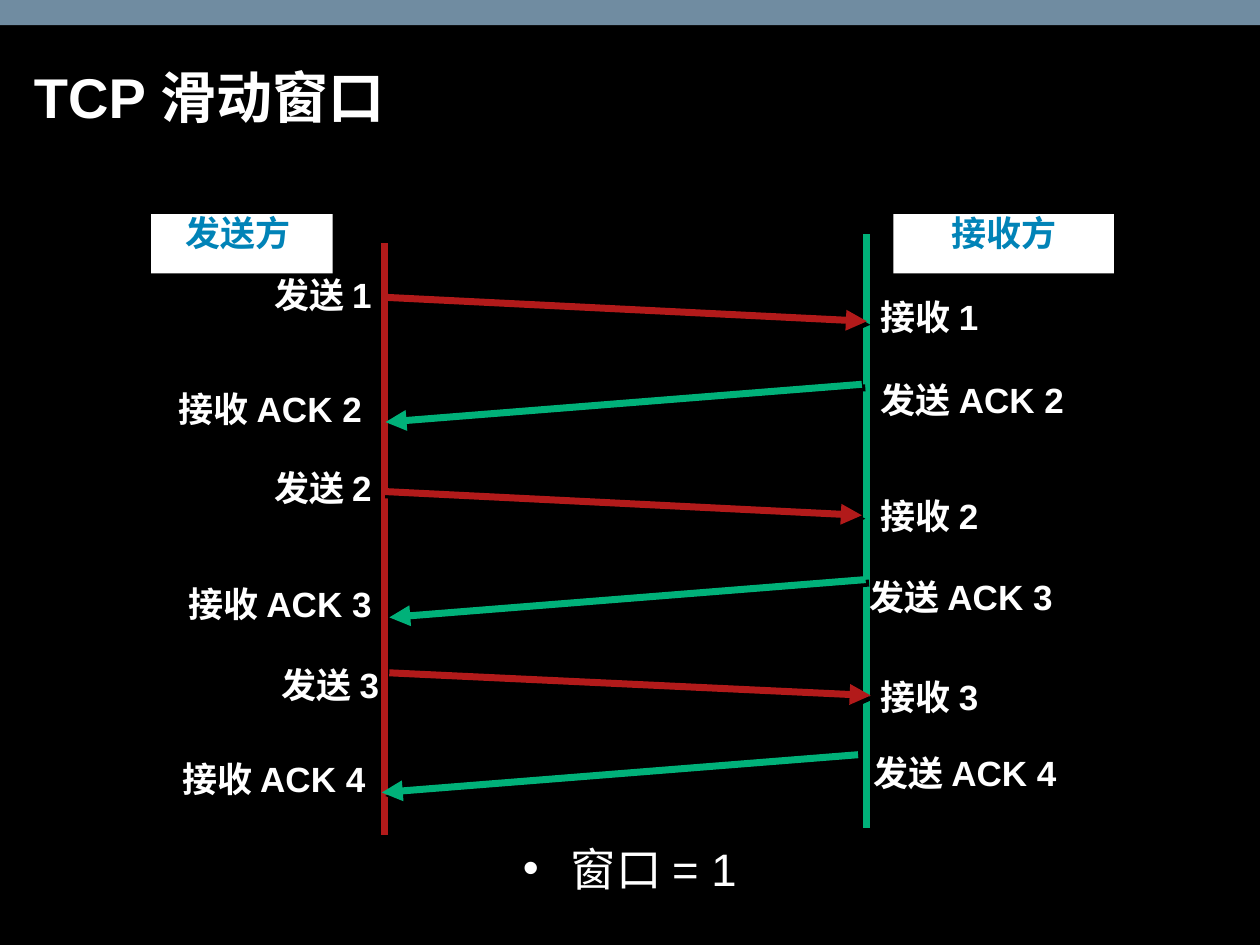
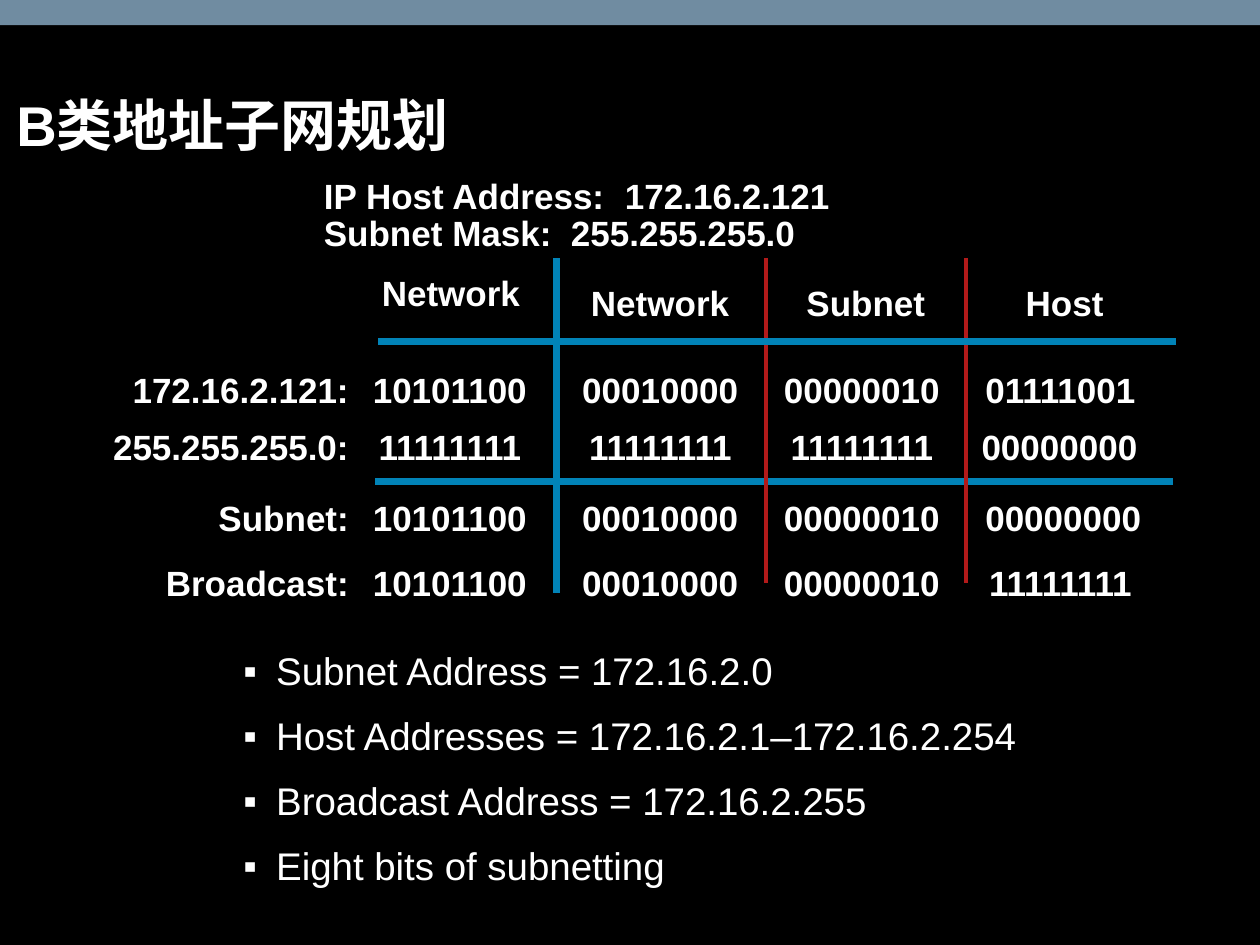
from lxml.etree import SubElement
from pptx import Presentation
from pptx.dml.color import RGBColor
from pptx.enum.shapes import MSO_CONNECTOR as Connector, MSO_SHAPE as Preset
from pptx.enum.text import MSO_ANCHOR as Anchor, PP_ALIGN as Align
from pptx.oxml.ns import qn
from pptx.util import Inches, Pt

BLACK = RGBColor(0x00, 0x00, 0x00)
WHITE = RGBColor(0xFF, 0xFF, 0xFF)
BAND = RGBColor(0x70, 0x8C, 0xA1)
BLUE = RGBColor(0x01, 0x83, 0xB7)
RED = RGBColor(0xB2, 0x1A, 0x1A)
GREEN = RGBColor(0x00, 0xB1, 0x79)

WIDE_INSETS = (0.09, 0.04)
TIGHT_INSETS = (0.02, 0.03)


class Deck:
    """Hold the shared style and the slide being drawn."""

    font = "Arial"

    def __init__(self):
        self.show = Presentation()
        self.show.slide_width = Inches(10)
        self.show.slide_height = Inches(7.5)
        self.slide = None

    def new_slide(self):
        self.slide = self.show.slides.add_slide(self.show.slide_layouts[6])
        fill = self.slide.background.fill
        fill.solid()
        fill.fore_color.rgb = BLACK
        self.panel((0, 0, 10, 0.2), BAND)

    def panel(self, place, color):
        panel = self.slide.shapes.add_shape(Preset.RECTANGLE, *map(Inches, place))
        panel.shadow.inherit = False
        panel.fill.solid()
        panel.fill.fore_color.rgb = color
        panel.line.fill.background()
        return panel

    def frame(self, shape, insets, anchor=Anchor.TOP, wrap=False):
        frame = shape.text_frame
        frame.word_wrap = wrap
        frame.vertical_anchor = anchor
        frame.margin_left = frame.margin_right = Inches(insets[0])
        frame.margin_top = frame.margin_bottom = Inches(insets[1])
        return frame

    def box(self, place, *style, **options):
        shape = self.slide.shapes.add_textbox(*map(Inches, place))
        return self.frame(shape, *style, **options)

    def add_lines(self, frame, lines, size, color=WHITE, bold=True, align=Align.LEFT, spacing=1.0):
        for index, line in enumerate(lines):
            paragraph = frame.paragraphs[0] if index == 0 else frame.add_paragraph()
            paragraph.alignment = align
            paragraph.line_spacing = spacing
            run = paragraph.add_run()
            run.text = line
            run.font.name = self.font
            run.font.size = Pt(size)
            run.font.bold = bold
            run.font.color.rgb = color

    def title(self, text, place):
        frame = self.box(place, WIDE_INSETS, Anchor.BOTTOM, wrap=True)
        self.add_lines(frame, [text], 32, spacing=0.9)

    def label(self, text, place, align=Align.LEFT, points=23.6):
        frame = self.box(place, TIGHT_INSETS)
        self.add_lines(frame, [text], 20, align=align, spacing=Pt(points))

    def plate(self, text, place):
        frame = self.frame(self.panel(place, WHITE), TIGHT_INSETS)
        self.add_lines(frame, [text], 20, BLUE, align=Align.CENTER, spacing=Pt(20.2))

    def tabbed(self, lines, place, stop, points):
        frame = self.box(place, TIGHT_INSETS)
        self.add_lines(frame, lines, 20, spacing=Pt(points))
        for paragraph in frame.paragraphs:
            stops = SubElement(paragraph._p.get_or_add_pPr(), qn("a:tabLst"))
            SubElement(stops, qn("a:tab"), pos=str(Inches(stop)), algn="l")

    def bullets(self, lines, place, size, mark, indent, before, spacing=1.0):
        frame = self.box(place, WIDE_INSETS, Anchor.MIDDLE, wrap=True)
        frame._txBody.bodyPr.set("anchorCtr", "1")
        self.add_lines(frame, lines, size, bold=False, spacing=spacing)
        for paragraph in frame.paragraphs:
            paragraph.space_before = Pt(before)
            properties = paragraph._p.get_or_add_pPr()
            properties.set("marL", str(Inches(indent)))
            properties.set("indent", str(-Inches(indent)))
            SubElement(properties, qn("a:buFont"), typeface=self.font)
            SubElement(properties, qn("a:buChar"), char=mark)

    def line(self, start, end, color, width=4, arrow=False, shadow=False):
        line = self.slide.shapes.add_connector(Connector.STRAIGHT, *map(Inches, start + end))
        line.line.color.rgb = color
        line.line.width = Pt(width)
        if arrow:
            SubElement(line.line._get_or_add_ln(), qn("a:tailEnd"), type="triangle")
        effects = SubElement(line._element.spPr, qn("a:effectLst"))
        if shadow:
            cast = SubElement(effects, qn("a:outerShdw"), dist=str(Pt(2.8)), dir="2700000",
                              algn="ctr", rotWithShape="0")
            SubElement(cast, qn("a:srgbClr"), val=str(BLACK))


def sliding_window(deck):
    deck.new_slide()
    deck.title("TCP 滑动窗口", (0.18, 0.21, 9.07, 0.87))
    deck.bullets(["窗口 = 1"], (0.5, 6.68, 9, 0.42), 26, "•", 0.38, 6)
    deck.plate("发送方 ", (1.2, 1.7, 1.44, 0.47))
    deck.plate("接收方", (7.09, 1.7, 1.75, 0.47))
    deck.line((3.05, 1.93), (3.05, 6.63), RED, shadow=True)
    deck.line((6.88, 1.86), (6.88, 6.57), GREEN, shadow=True)

    exchanges = [
        ("发送 1", (1.75, 2.15, 1.22, 0.58), "接收 1", (6.97, 2.32, 1.08, 0.58),
         (3.06, 2.36), (6.88, 2.55)),
        ("接收 ACK 2 ", (1.2, 3.05, 1.77, 0.58), "发送 ACK 2", (6.97, 2.98, 1.87, 0.45),
         (6.84, 3.05), (3.06, 3.35)),
        ("发送 2", (1.95, 3.68, 1.02, 0.58), "接收 2", (6.97, 3.9, 1.08, 0.58),
         (3.03, 3.9), (6.84, 4.09)),
        ("接收 ACK 3", (1.2, 4.6, 1.77, 0.58), "发送 ACK 3", (6.88, 4.54, 1.87, 0.58),
         (6.87, 4.6), (3.09, 4.9)),
        ("发送 3", (1.86, 5.24, 1.17, 0.58), "接收 3", (6.97, 5.34, 1.31, 0.36),
         (3.09, 5.34), (6.91, 5.52)),
        ("接收 ACK 4", (1.2, 5.99, 1.72, 0.58), "发送 ACK 4", (6.91, 5.94, 1.59, 0.58),
         (6.81, 5.99), (3.03, 6.29)),
    ]
    for sender, sender_place, receiver, receiver_place, start, end in exchanges:
        deck.label(sender, sender_place, Align.RIGHT)
        deck.label(receiver, receiver_place)
        color = RED if start[0] < end[0] else GREEN
        deck.line(start, end, color, arrow=True, shadow=True)


def subnet_plan(deck):
    deck.new_slide()
    deck.tabbed(["IP Host Address:\t172.16.2.121", "Subnet Mask:  255.255.255.0"],
                (2.55, 1.39, 4.92, 0.67), 2.39, 21.4)
    deck.title("B类地址子网规划", (0.04, 0.05, 8.7, 1.25))
    deck.bullets(["Subnet Address = 172.16.2.0",
                  "Host Addresses = 172.16.2.1–172.16.2.254",
                  "Broadcast Address = 172.16.2.255",
                  "Eight bits of subnetting"],
                 (0.5, 5.34, 9, 1.54), 22, "▪", 0.26, 12, 0.95)

    deck.line((4.42, 2.05), (4.42, 4.71), BLUE)
    deck.line((2.98, 3.82), (9.31, 3.82), BLUE)
    for divider in (6.08, 7.67):
        deck.line((divider, 2.05), (divider, 4.63), RED, 2.25)
    deck.line((3, 2.71), (9.33, 2.71), BLUE)

    headings = [("Network", 3.01, 2.13, 1.58), ("Network", 4.67, 2.21, 1.58),
                ("Subnet", 6.38, 2.21, 1.41), ("Host", 8.12, 2.21, 1.05)]
    for heading, left, top, width in headings:
        deck.label(heading, (left, top, width, 0.36))

    octet_lefts = (2.86, 4.53, 6.13)
    rows = [
        ("172.16.2.121:", 2.93, 21.4, ("10101100", "00010000", "00000010"), "01111001", 7.8),
        ("255.255.255.0:", 3.4, 20.2, ("11111111",) * 3, "00000000", 7.77),
        ("Subnet:", 3.95, 21.4, ("10101100", "00010000", "00000010"), "00000000", 7.8),
        ("Broadcast:", 4.46, 21.4, ("10101100", "00010000", "00000010"), "11111111", 7.83),
    ]
    for name, top, points, octets, host, host_left in rows:
        deck.label(name, (0.49, top, 2.3, 0.42), Align.RIGHT, points)
        for octet, left in zip(octets, octet_lefts):
            deck.label(octet, (left, top, 1.42, 0.42), Align.CENTER, points)
        deck.label(host, (host_left, top, 1.9, 0.42), points=points)


def main():
    deck = Deck()
    sliding_window(deck)
    subnet_plan(deck)
    deck.show.save("out.pptx")


if __name__ == "__main__":
    main()
